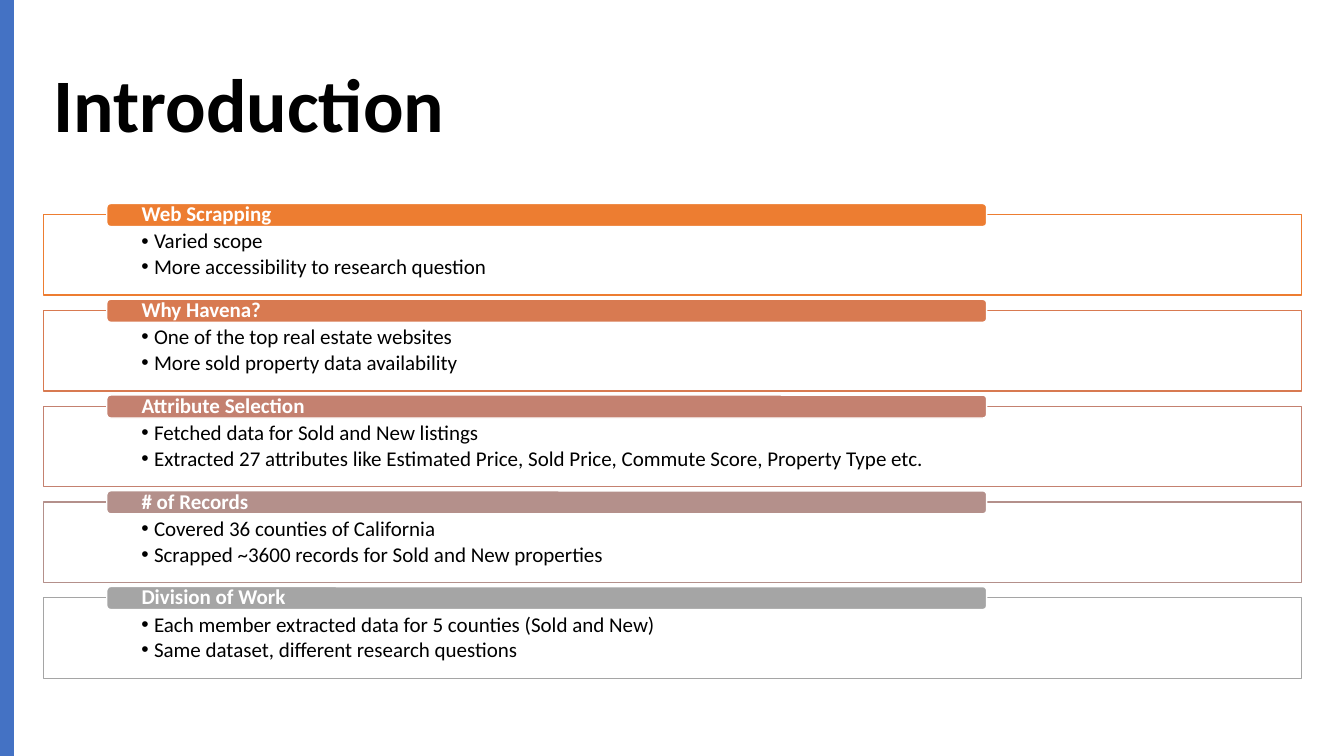
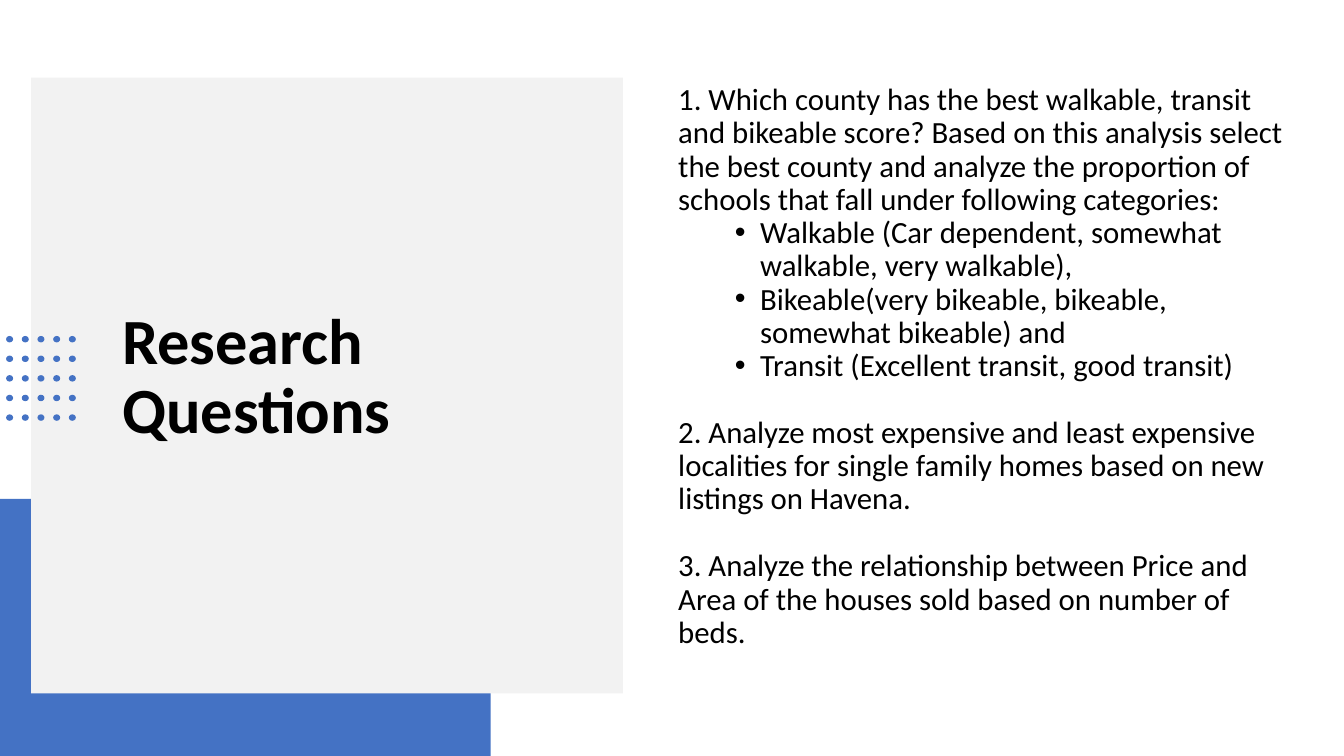
"""Build the introduction and research question slides."""
from dataclasses import dataclass
from itertools import product

from lxml import etree
from pptx import Presentation
from pptx.dml.color import RGBColor
from pptx.enum.shapes import MSO_SHAPE
from pptx.enum.text import MSO_ANCHOR, MSO_AUTO_SIZE, PP_ALIGN
from pptx.oxml.ns import qn
from pptx.shapes.autoshape import Shape
from pptx.slide import Slide
from pptx.text.text import TextFrame, _Paragraph
from pptx.util import Pt

RECT = MSO_SHAPE.RECTANGLE
ROUND = MSO_SHAPE.ROUNDED_RECTANGLE
OVAL = MSO_SHAPE.OVAL
LEFT = PP_ALIGN.LEFT
TOP = MSO_ANCHOR.TOP
MIDDLE = MSO_ANCHOR.MIDDLE
FIXED = MSO_AUTO_SIZE.NONE


@dataclass(frozen=True)
class Theme:
    """Shared colours, font and type sizes."""
    font: str = "Calibri"
    blue: str = "4472C4"
    gray: str = "F2F2F2"
    ink: str = "000000"
    white: str = "FFFFFF"
    head: float = 54
    side: float = 46
    body: float = 22
    small: float = 15
    lead: float = 0.9


@dataclass(frozen=True)
class Box:
    """A frame in points."""
    left: float
    top: float
    width: float
    height: float


@dataclass(frozen=True)
class Topic:
    """A labelled panel with its bullet points."""
    label: str
    color: str
    points: tuple[str, ...]


@dataclass(frozen=True)
class Line:
    """A paragraph of the question list."""
    text: str
    bullet: bool = False
    gap: float = 0


THEME = Theme()
WIDTH, HEIGHT = 960, 540

TOPICS = (
    Topic("Web Scrapping", "ED7D31",
          ("Varied scope", "More accessibility to research question")),
    Topic("Why Havena?", "D87A51",
          ("One of the top real estate websites",
           "More sold property data availability")),
    Topic("Attribute Selection", "C48170",
          ("Fetched data for Sold and New listings",
           "Extracted 27 attributes like Estimated Price, Sold Price, "
           "Commute Score, Property Type etc.")),
    Topic("# of Records", "B4908B",
          ("Covered 36 counties of California",
           "Scrapped ~3600 records for Sold and New properties")),
    Topic("Division of Work", "A5A5A5",
          ("Each member extracted data for 5 counties (Sold and New)",
           "Same dataset, different research questions")),
)

LINES = (
    Line("1. Which county has the best walkable, transit and bikeable score? "
         "Based on this analysis select the best county and analyze the "
         "proportion of schools that fall under following categories:"),
    Line("Walkable (Car dependent, somewhat walkable, very walkable),", True),
    Line("Bikeable(very bikeable, bikeable, somewhat bikeable) and", True),
    Line("Transit (Excellent transit, good transit)", True),
    Line("2. Analyze most expensive and least expensive localities for single "
         "family homes based on new listings on Havena.", gap=24),
    Line("3. Analyze the relationship between Price and Area of the houses "
         "sold based on number of beds.", gap=24),
)


def place(shape: Shape, box: Box) -> None:
    """Move and size a shape."""
    shape.left, shape.top = Pt(box.left), Pt(box.top)
    shape.width, shape.height = Pt(box.width), Pt(box.height)


def draw(shapes, kind: MSO_SHAPE, box: Box, fill: str,
         edge: str | None = None) -> Shape:
    """Add a flat shape with an optional outline."""
    shape = shapes.add_shape(kind, Pt(box.left), Pt(box.top),
                             Pt(box.width), Pt(box.height))
    shape.shadow.inherit = False
    shape.fill.solid()
    shape.fill.fore_color.rgb = RGBColor.from_string(fill)
    if edge:
        shape.line.color.rgb = RGBColor.from_string(edge)
        shape.line.width = Pt(1)
    else:
        shape.line.fill.background()
    return shape


def style(para: _Paragraph, size: float, color: str = THEME.ink,
          bold: bool = False) -> None:
    """Format a paragraph and its runs."""
    para.alignment = LEFT
    para.line_spacing = THEME.lead
    para.space_before = para.space_after = Pt(0)
    for run in para.runs:
        run.font.name = THEME.font
        run.font.size = Pt(size)
        run.font.bold = bold
        run.font.color.rgb = RGBColor.from_string(color)


def dot(para: _Paragraph, left: float, hang: float) -> None:
    """Give a paragraph a hanging round bullet."""
    para.level = 1
    props = para._p.get_or_add_pPr()
    props.set("marL", str(Pt(left)))
    props.set("indent", str(-Pt(hang)))
    font = etree.SubElement(props, qn("a:buFont"))
    font.set("typeface", "Arial")
    etree.SubElement(props, qn("a:buChar")).set("char", "•")


def frame(shape: Shape, anchor: MSO_ANCHOR, side: float = 7.2,
          top: float = 3.6, base: float = 3.6) -> TextFrame:
    """Set up wrapped text with fixed insets."""
    text = shape.text_frame
    text.word_wrap = True
    text.auto_size = FIXED
    text.vertical_anchor = anchor
    text.margin_left = text.margin_right = Pt(side)
    text.margin_top, text.margin_bottom = Pt(top), Pt(base)
    return text


def title(slide: Slide, words: str, box: Box, size: float) -> None:
    """Fill the title and bring it to the front."""
    shape = slide.shapes.title
    place(shape, box)
    text = frame(shape, MIDDLE)
    text.text = words
    style(text.paragraphs[0], size, bold=True)
    slide.shapes._spTree.append(shape._element)


def panel(slide: Slide, topic: Topic, top: float) -> None:
    """Draw one topic panel with its label bar."""
    body = draw(slide.shapes, RECT, Box(31, top, 898.5, 57.5),
                THEME.white, topic.color)
    text = frame(body, TOP, 70, 11.5, 8.6)
    text.text = "\n".join(topic.points)
    for para in text.paragraphs:
        style(para, THEME.small)
        para.space_after = Pt(2.25)
        dot(para, 9, 9)
    bar = draw(slide.shapes, ROUND, Box(76.3, top - 8, 628.5, 16.4),
               topic.color, THEME.white)
    label = frame(bar, MIDDLE, 24, 0, 0)
    label.text = topic.label
    style(label.paragraphs[0], THEME.small, THEME.white, True)


def intro(slide: Slide) -> None:
    """Build the introduction slide."""
    draw(slide.shapes, RECT, Box(0, 0, 10, HEIGHT), THEME.blue)
    for row, topic in enumerate(TOPICS):
        panel(slide, topic, 153.4 + 68.4 * row)
    title(slide, "Introduction", Box(31, 25.2, 898.5, 104.4), THEME.head)


def quest(slide: Slide) -> None:
    """Build the research question slide."""
    draw(slide.shapes, RECT, Box(0, 356.4, 350.6, 183.6), THEME.blue)
    draw(slide.shapes, RECT, Box(22.3, 55.4, 422.6, 440), THEME.gray)
    title(slide, "Research Questions", Box(80, 105.8, 330.5, 328.3),
          THEME.side)
    grid = slide.shapes.add_group_shape()
    for col, row in product(range(5), repeat=2):
        draw(grid.shapes, OVAL,
             Box(4.4 + 11.2 * col, 240 + 14 * row, 5, 4.6), THEME.blue)
    area = slide.shapes.add_textbox(Pt(477.4), Pt(60), Pt(448.6), Pt(424))
    text = frame(area, TOP, top=0)
    text.text = "\n".join(line.text for line in LINES)
    for para, line in zip(text.paragraphs, LINES):
        style(para, THEME.body)
        para.space_before = Pt(line.gap)
        if line.bullet:
            dot(para, 58.5, 18)


def main() -> None:
    """Make the deck and save it."""
    deck = Presentation()
    deck.slide_width, deck.slide_height = Pt(WIDTH), Pt(HEIGHT)
    for build in (intro, quest):
        build(deck.slides.add_slide(deck.slide_layouts[5]))
    deck.save("out.pptx")


if __name__ == "__main__":
    main()
